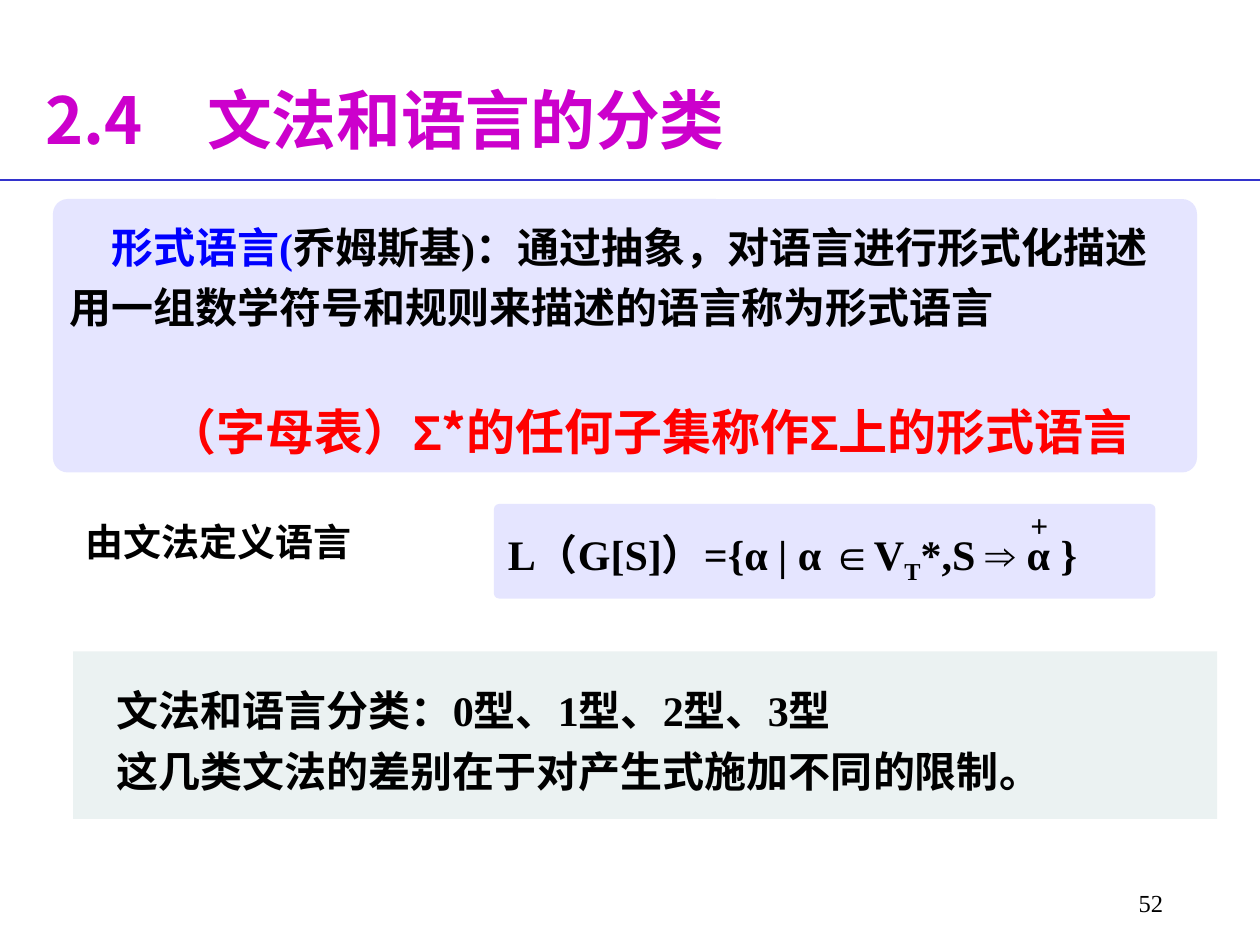
from lxml.etree import SubElement
from pptx import Presentation
from pptx.dml.color import RGBColor
from pptx.enum.shapes import MSO_CONNECTOR, MSO_SHAPE
from pptx.enum.text import MSO_ANCHOR, PP_ALIGN
from pptx.oxml.ns import qn
from pptx.util import Inches, Pt

BLACK = RGBColor(0x00, 0x00, 0x00)
BLUE = RGBColor(0x00, 0x00, 0xFF)
RED = RGBColor(0xFF, 0x00, 0x00)
MAGENTA = RGBColor(0xCC, 0x00, 0xCC)
RULE_BLUE = RGBColor(0x33, 0x33, 0xCC)
LAVENDER = RGBColor(0xCC, 0xCC, 0xFF)
PALE_GREEN = RGBColor(0xD9, 0xE6, 0xE6)

SERIF, SANS, CJK = "Times New Roman", "Arial", "Noto Sans CJK SC"


class SlideBuilder:
    def __init__(self, slide):
        self.slide = slide

    def run(self, p, text, size=24, font=SERIF, color=BLACK, bold=True, baseline=None):
        r = p.add_run()
        r.text = text
        r.font.size, r.font.name, r.font.bold = Pt(size), font, bold
        r.font.color.rgb = color
        rPr = r.font._element
        SubElement(rPr, qn("a:ea")).set("typeface", CJK)
        if baseline:
            rPr.set("baseline", str(baseline * 1000))

    def paragraph(self, tf, runs, first=False, spacing=1.2, indent=0, before=0,
                  align=PP_ALIGN.LEFT):
        p = tf.paragraphs[0] if first else tf.add_paragraph()
        p.alignment, p.line_spacing = align, spacing
        if before:
            p.space_before = Pt(before)
        if indent:
            pPr = p._p.get_or_add_pPr()
            pPr.set("marL", "0")
            pPr.set("indent", str(Inches(indent)))
        for text, style in runs:
            self.run(p, text, **style)

    def text(self, x, y, w, h, text, anchor=MSO_ANCHOR.MIDDLE, spacing=0.9,
             align=PP_ALIGN.LEFT, **style):
        sp = self.slide.shapes.add_textbox(Inches(x), Inches(y), Inches(w), Inches(h))
        tf = sp.text_frame
        tf.word_wrap, tf.vertical_anchor = True, anchor
        self.paragraph(tf, [(text, style)], first=True, spacing=spacing, align=align)

    def panel(self, x, y, w, h, fill, paragraphs, shape=MSO_SHAPE.ROUNDED_RECTANGLE):
        sp = self.slide.shapes.add_shape(shape, Inches(x), Inches(y), Inches(w), Inches(h))
        sp.shadow.inherit = False
        if shape == MSO_SHAPE.ROUNDED_RECTANGLE:
            sp.adjustments[0] = 0.054
        sp.fill.solid()
        sp.fill.fore_color.rgb = fill
        color = sp._element.spPr.find(f"{qn('a:solidFill')}/{qn('a:srgbClr')}")
        SubElement(color, qn("a:alpha")).set("val", "50000")
        sp.line.fill.background()
        tf = sp.text_frame
        tf.word_wrap, tf.vertical_anchor = False, MSO_ANCHOR.MIDDLE
        for i, (runs, layout) in enumerate(paragraphs):
            self.paragraph(tf, runs, first=i == 0, **layout)

    def rule(self, x1, y1, x2, y2, color, width):
        line = self.slide.shapes.add_connector(
            MSO_CONNECTOR.STRAIGHT, Inches(x1), Inches(y1), Inches(x2), Inches(y2))
        line.line.color.rgb, line.line.width = color, Pt(width)
        SubElement(line._element.spPr, qn("a:effectLst"))


def main():
    prs = Presentation()
    prs.slide_width, prs.slide_height = Inches(10), Inches(7.5)
    s = SlideBuilder(prs.slides.add_slide(prs.slide_layouts[6]))

    # Title and rule
    s.text(0.26, 0.55, 6.15, 0.86, "2.4　文法和语言的分类",
           size=37, font=CJK, color=MAGENTA)
    s.rule(0, 1.43, 10, 1.43, RULE_BLUE, 1)

    # Definition of a formal language
    red_cjk = dict(size=28, font=CJK, color=RED)
    red_sigma = dict(red_cjk, font=SANS)
    s.panel(0.42, 1.58, 9.08, 2.17, LAVENDER, [
        ([("形式语言(", dict(color=BLUE)),
          ("乔姆斯基)：通过抽象，对语言进行形式化描述", {})], dict(indent=0.33)),
        ([("用一组数学符号和规则来描述的语言称为形式语言", {})], {}),
        ([("（字母表）", red_cjk), ("Σ", red_sigma), ("*的任何子集称作", red_cjk),
          ("Σ", red_sigma), ("上的形式语言", red_cjk)], dict(indent=0.78, before=33)),
    ])

    # Language defined by a grammar
    s.panel(3.92, 4, 5.25, 0.75, LAVENDER, [
        ([("L（G[S]）={α | α ∈V", {}), ("T", dict(baseline=-25)), ("*,S ", {}),
          ("⇒", dict(font=SANS)), (" α }", {})], {}),
    ])
    s.text(8.08, 4, 0.42, 0.37, "+", anchor=MSO_ANCHOR.TOP, size=18)
    s.text(0.58, 4.08, 3, 0.5, "由文法定义语言", spacing=0.8, size=21.7, font=CJK)

    # Classes of grammars
    s.panel(0.58, 5.17, 9.08, 1.33, PALE_GREEN, [
        ([(text, {})], dict(indent=0.25))
        for text in ("文法和语言分类：0型、1型、2型、3型",
                     "这几类文法的差别在于对产生式施加不同的限制。")
    ], shape=MSO_SHAPE.RECTANGLE)

    # Page number
    s.text(7.25, 7, 2.08, 0.5, "52", anchor=MSO_ANCHOR.TOP, spacing=1,
           align=PP_ALIGN.RIGHT, size=14, bold=False)

    prs.save("out.pptx")


if __name__ == "__main__":
    main()
